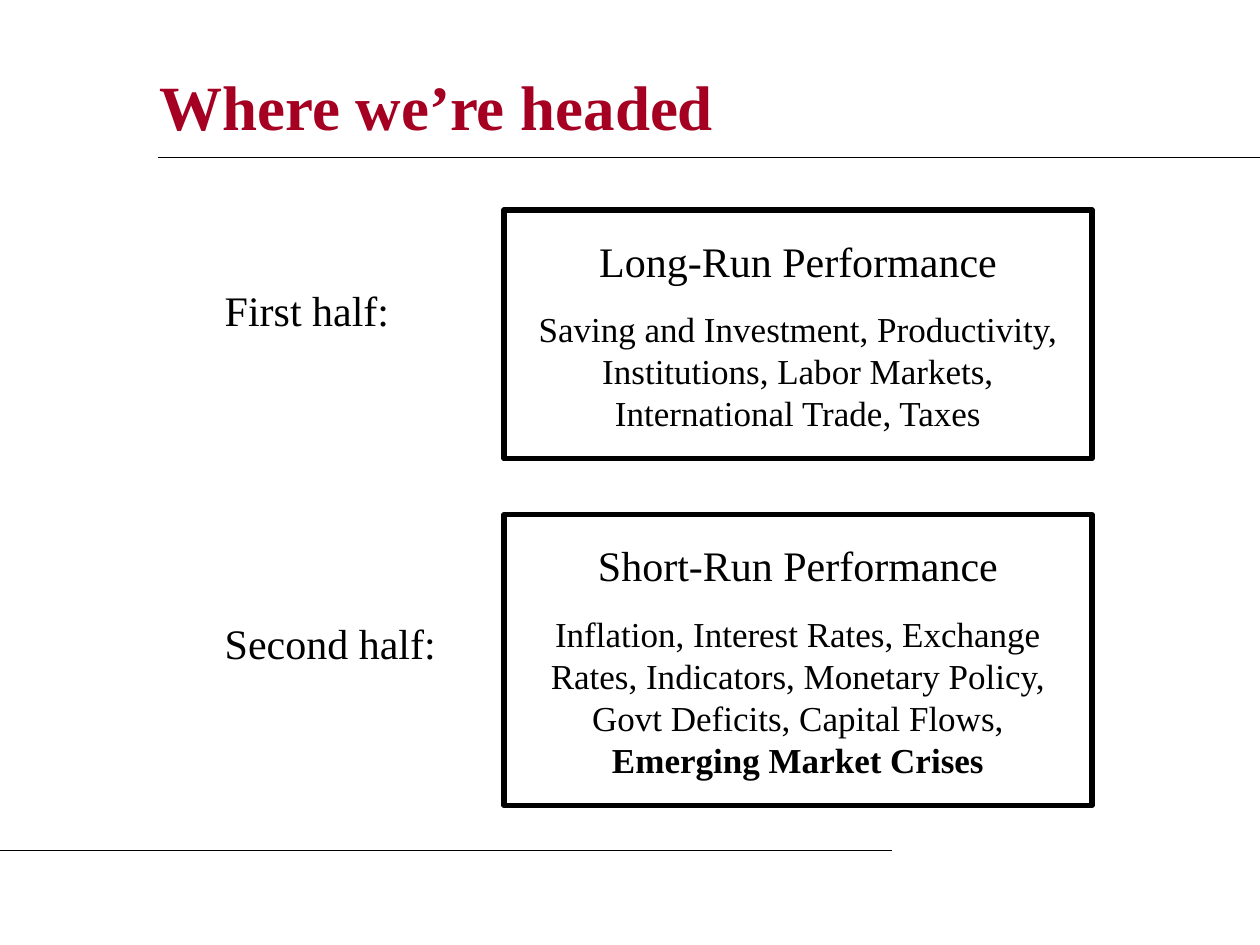
from dataclasses import dataclass

from lxml import etree
from pptx import Presentation
from pptx.dml.color import RGBColor
from pptx.enum.shapes import MSO_CONNECTOR, MSO_SHAPE
from pptx.enum.text import MSO_ANCHOR, PP_ALIGN
from pptx.oxml.ns import qn
from pptx.util import Inches, Pt

LEFT, CENTER = PP_ALIGN.LEFT, PP_ALIGN.CENTER
TOP, MIDDLE = MSO_ANCHOR.TOP, MSO_ANCHOR.MIDDLE
RECTANGLE, STRAIGHT = MSO_SHAPE.RECTANGLE, MSO_CONNECTOR.STRAIGHT
COLUMNS, ROWS = 120, 90  # grid of one twelfth of an inch
CELL = Inches(1) / 12


@dataclass(frozen=True)
class Theme:
    font: str = "Times New Roman"
    title_color: RGBColor = RGBColor(0xA5, 0x00, 0x21)
    ink: RGBColor = RGBColor(0, 0, 0)
    title_size: int = 36
    heading_size: int = 24
    topic_size: int = 20
    rule_width: float = 0.75
    frame_width: float = 3


class SlideBuilder:
    def __init__(self, slide, theme):
        self.shapes, self.theme = slide.shapes, theme

    def grid(self, *cells):
        return [round(cell * CELL) for cell in cells]

    def prepare(self, shape, inset, anchor=TOP):
        frame = shape.text_frame
        frame.word_wrap = True
        frame.vertical_anchor = anchor
        frame.margin_left = frame.margin_right = Inches(inset)
        frame.margin_top = frame.margin_bottom = Inches(inset)
        return frame

    def style(self, paragraph, size, color, align=LEFT):
        paragraph.alignment = align
        paragraph.font.name = self.theme.font
        paragraph.font.size = Pt(size)
        paragraph.font.color.rgb = color

    def title(self, text, *cells):
        box = self.shapes.add_textbox(*self.grid(*cells))
        paragraph = self.prepare(box, 0.1, MIDDLE).paragraphs[0]
        paragraph.text = text
        self.style(paragraph, self.theme.title_size, self.theme.title_color)
        paragraph.font.bold = True

    def rule(self, start, end, row):
        line = self.shapes.add_connector(STRAIGHT, *self.grid(start, row, end, row))
        line.line.color.rgb = self.theme.ink
        line.line.width = Pt(self.theme.rule_width)
        etree.SubElement(line._element.spPr, qn("a:effectLst"))

    def label(self, text, *cells, spacing=None):
        box = self.shapes.add_textbox(*self.grid(*cells))
        paragraph = self.prepare(box, 0.2).paragraphs[0]
        paragraph.text = text
        paragraph.line_spacing = spacing
        self.style(paragraph, self.theme.heading_size, self.theme.ink)

    def topic_box(self, heading, topics, emphasis, *cells):
        box = self.shapes.add_shape(RECTANGLE, *self.grid(*cells))
        box.shadow.inherit = False
        box.fill.background()
        box.line.color.rgb = self.theme.ink
        box.line.width = Pt(self.theme.frame_width)
        frame = self.prepare(box, 0.2)
        first = frame.paragraphs[0]
        first.text = heading
        self.style(first, self.theme.heading_size, self.theme.ink, CENTER)
        second = frame.add_paragraph()
        second.add_run().text = topics
        if emphasis:
            run = second.add_run()
            run.text = emphasis
            run.font.bold = True
        second.space_before = Pt(12.5)
        self.style(second, self.theme.topic_size, self.theme.ink, CENTER)


def main():
    presentation = Presentation()
    presentation.slide_width = round(COLUMNS * CELL)
    presentation.slide_height = round(ROWS * CELL)
    slide = presentation.slides.add_slide(presentation.slide_layouts[6])
    builder = SlideBuilder(slide, Theme())

    # Title and rules
    builder.title("Where we’re headed", 14, 5, 97, 10)
    builder.rule(15, COLUMNS, 15)
    builder.rule(0, 85, 81)

    # Topics of each half
    builder.topic_box(
        "Long-Run Performance",
        "Saving and Investment, Productivity, Institutions, Labor Markets, "
        "International Trade, Taxes",
        "", 48, 20, 56, 23.7)
    builder.topic_box(
        "Short-Run Performance",
        "Inflation, Interest Rates, Exchange Rates, Indicators, "
        "Monetary Policy, Govt Deficits, Capital Flows, ",
        "Emerging Market Crises", 48, 49, 56, 27.7)

    # Labels of the halves
    builder.label("First half:", 19, 28, 28, 7.2, spacing=0.5)
    builder.label("Second half:", 19, 56.4, 28, 9.6)

    presentation.save("out.pptx")


if __name__ == "__main__":
    main()
